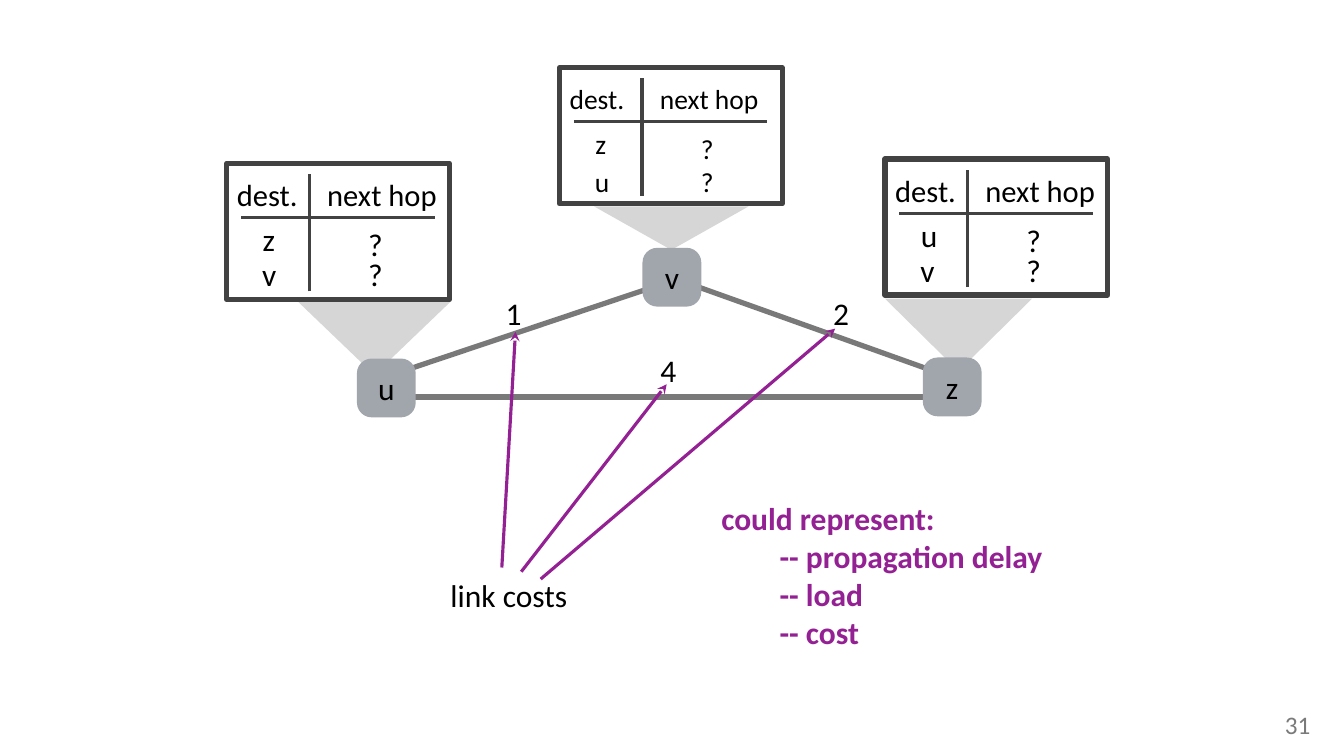
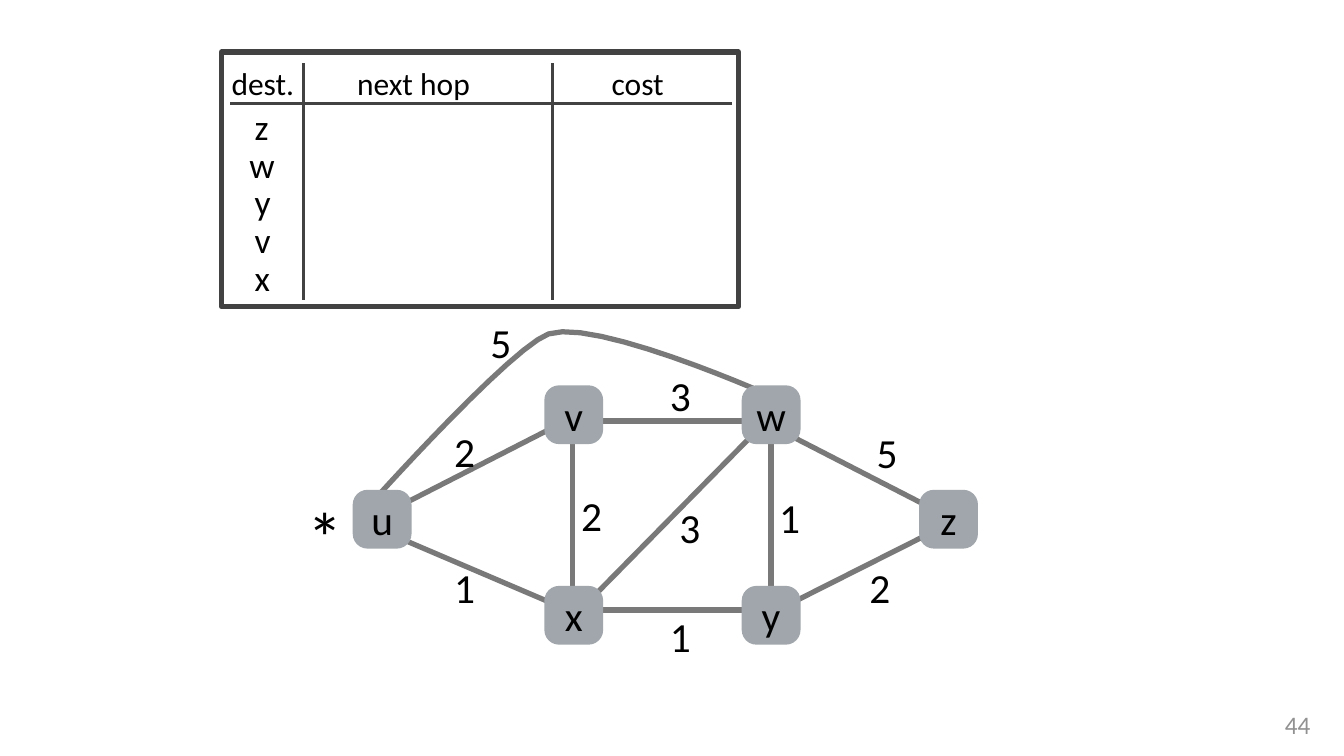
import pptx
import pptx.dml.color
import pptx.enum.shapes
import pptx.enum.text
import pptx.oxml.ns
import pptx.util
from lxml import etree

Pt = pptx.util.Pt
SHAPES = pptx.enum.shapes.MSO_SHAPE
ALIGN = pptx.enum.text.PP_ALIGN
ANCHOR = pptx.enum.text.MSO_ANCHOR

# Shared look, all lengths in points
COLORS = {"text": "000000", "frame": "424242", "edge": "797979", "node": "A1A6AC",
          "callout": "D6D6D6", "accent": "942193"}
FONT = "Calibri"
SLIDE_SIZE = (1280.16, 720)
NODE_SIZE = 56
INSET = 3.6
INDENT = 55.5
EDGE_WIDTH, RULE_WIDTH = 5, 3
PAGE_NUMBER_BOX = (1219.5, 676, 33, 36)

# Slide 1: three routers with empty forwarding tables
SMALL_TABLE = {
    "size": (212, 129.6),
    "headers": [("dest.", 6, 7.5, 150), ("next hop", 92, 7.5, 118)],
    "header_rule": (13.7, 198, 51.5),
    "column_rules": ([78.5], 10, 122),
}
ROUTER_TABLES = [  # left, top, header size, cell size, destinations, second row top
    (216, 155.5, 29.1, 30, "zv", 81),
    (843, 151.5, 29.1, 30, "uv", 81),
    (533, 64.6, 26.2, 26.2, "zu", 83.5),
]
CALLOUTS = [  # left, right, top, tip
    (843, 983, 284.5, 353.5),
    (566, 713, 196.6, 238),
    (283, 430, 286.5, 357),
]
TRIANGLE_NODES = {"v": (612, 236), "u": (340, 341.5), "z": (879, 340.5)}
TRIANGLE_EDGES = [  # start, end, cost, label position
    ((628, 271.5), (385, 353), "1", (478, 276)),
    ((392.5, 378), (903.5, 378), "4", (625.5, 330)),
    ((660, 271.5), (903.5, 358.5), "2", (790, 276)),
]
COST_ARROWS = [  # tip, start
    ((491, 316), (478, 540.5)),
    ((635, 366), (491 + 5.5, 544.5)),
    ((795.5, 313), (515, 551.5)),
]
LINK_COSTS_BOX = (425.5, 545, 147, 44)
MEANING_BOX = (683.5, 471.5, 335, 152.5)
MEANINGS = ["could represent:", "-- propagation delay", "-- load", "-- cost"]

# Slide 2: six-router network with the table of router u
LARGE_TABLE = {
    "size": (492.5, 242.5),
    "headers": [("dest.", 6, 7.5, 150), ("next hop", 125.5, 7.5, 118),
                ("cost", 368, 7.5, 69)],
    "header_rule": (8.5, 486, 48.75),
    "column_rules": ([78, 315.5], 10, 236),
}
LARGE_TABLE_ORIGIN = (211, 49.6)
DESTINATIONS = [("z", 28), ("w", 23), ("y", 28), ("v", 28), ("x", 28)]
DESTINATION_TOP, DESTINATION_PITCH = 46, 36
COLUMNS = {"u": 336, "vx": 518.5, "wy": 706.5, "z": 875.5}
ROWS = {"vw": 367, "uz": 466.5, "xy": 558}
NETWORK_EDGES = [
    ((532, 404.5), (378.5, 483), "2", (429, 402)),
    ((545.5, 414.5), (545.5, 575), "2", (550, 463)),
    ((755, 416), (897, 489), "5", (831.5, 402.5)),
    ((756.5, 573), (893.5, 504), "2", (824.5, 531.5)),
    ((386.5, 515), (527, 575), "1", (429, 531.5)),
    ((710.5, 401), (566.5, 401), "3", (634.5, 348)),
    ((713, 581), (569, 581), "1", (634.5, 578)),
    ((734.5, 422), (734.5, 582.5), "1", (738.5, 465)),
    ((720.5, 410.5), (558.5, 575), "3", (643.5, 474.5)),
]
ARC = [  # cubic curves from u over v to w
    [(362, 470), (362, 470), (488, 330.5), (522.5, 318)],
    [(522.5, 318), (566, 303), (726, 373.5), (726, 373.5)],
]
ARC_COST = ("5", (463.5, 298))
ARC_STEPS = 12
STAR_BOX = (289.5, 465, 37, 89)


def rgb(value):
    return pptx.dml.color.RGBColor.from_string(value)


def set_values(target, values):
    for name, value in values.items():
        setattr(target, name, value)


def write(shape, lines, size, color=COLORS["text"], bold=False, align=ALIGN.LEFT,
          anchor=ANCHOR.MIDDLE, inset=INSET, wrap=True):
    frame = shape.text_frame
    set_values(frame, {"word_wrap": wrap, "vertical_anchor": anchor,
                       **{f"margin_{side}": Pt(inset)
                          for side in ("left", "top", "right", "bottom")}})
    for index, line in enumerate(lines):
        paragraph = frame.paragraphs[0] if index == 0 else frame.add_paragraph()
        paragraph.alignment = align
        if index:
            paragraph._p.get_or_add_pPr().set("marL", str(Pt(INDENT)))
        run = paragraph.add_run()
        run.text = line
        set_values(run.font, {"name": FONT, "size": Pt(size), "bold": bold})
        run.font.color.rgb = rgb(color)


def add_text(slide, lines, box, size, **options):
    write(slide.shapes.add_textbox(*map(Pt, box)), lines, size, **options)


def paint(shape, fill=None, line=None, width=EDGE_WIDTH):
    shape.shadow.inherit = False
    if fill:
        shape.fill.solid()
        shape.fill.fore_color.rgb = rgb(COLORS[fill])
    else:
        shape.fill.background()
    if line:
        shape.line.color.rgb = rgb(COLORS[line])
        shape.line.width = Pt(width)
    else:
        shape.line.fill.background()


def add_line(slide, start, end, color, width, arrow=False):
    line = slide.shapes.add_connector(pptx.enum.shapes.MSO_CONNECTOR.STRAIGHT,
                                      *map(Pt, (*start, *end)))
    line.line.color.rgb = rgb(COLORS[color])
    line.line.width = Pt(width)
    qualified = pptx.oxml.ns.qn
    if arrow:
        etree.SubElement(line.line._get_or_add_ln(), qualified("a:headEnd"), type="stealth")
    etree.SubElement(line._element.spPr, qualified("a:effectLst"))


def add_outline(slide, points, close, **colors):
    vertices = [(Pt(x), Pt(y)) for x, y in points]
    builder = slide.shapes.build_freeform(*vertices[0])
    builder.add_line_segments(vertices[1:], close=close)
    paint(builder.convert_to_shape(), **colors)


def add_edges(slide, edges, size, label_size):
    for start, end, cost, position in edges:
        add_line(slide, start, end, "edge", EDGE_WIDTH)
        add_text(slide, [cost], (*position, *label_size), size)


def add_nodes(slide, nodes, size):
    for name, position in nodes.items():
        node = slide.shapes.add_shape(SHAPES.ROUNDED_RECTANGLE,
                                      *map(Pt, (*position, NODE_SIZE, NODE_SIZE)))
        node.adjustments[0] = 0.25
        paint(node, fill="node")
        write(node, [name], size, align=ALIGN.CENTER, inset=0)


def add_routing_table(slide, layout, origin, header_size, cell_size, cells):
    """Cells are (text, left, top, width), relative to the origin."""
    left, top = origin
    frame = slide.shapes.add_shape(SHAPES.RECTANGLE, *map(Pt, (*origin, *layout["size"])))
    paint(frame, line="frame")
    rule_start, rule_end, rule_top = layout["header_rule"]
    add_line(slide, (left + rule_start, top + rule_top), (left + rule_end, top + rule_top),
             "frame", RULE_WIDTH)
    columns, column_top, column_bottom = layout["column_rules"]
    for x in columns:
        add_line(slide, (left + x, top + column_bottom), (left + x, top + column_top),
                 "frame", RULE_WIDTH)
    for entries, size, height in ((layout["headers"], header_size, 44), (cells, cell_size, 49)):
        for text, x, y, width in entries:
            add_text(slide, [text], (left + x, top + y, width, height), size)


def add_page(presentation, number, color):
    slide = presentation.slides.add_slide(presentation.slide_layouts[6])
    add_text(slide, [number], PAGE_NUMBER_BOX, 24, color=color, align=ALIGN.CENTER,
             anchor=ANCHOR.TOP, inset=0, wrap=False)
    return slide


def curve_points(start, control1, control2, end):
    for step in range(ARC_STEPS + 1):
        t = step / ARC_STEPS
        weights = ((1 - t) ** 3, 3 * t * (1 - t) ** 2, 3 * t ** 2 * (1 - t), t ** 3)
        yield tuple(sum(w * value for w, value in zip(weights, axis))
                    for axis in zip(start, control1, control2, end))


def build_link_costs(presentation):
    slide = add_page(presentation, "31", "7A7A7A")
    for left, right, top, tip in CALLOUTS:
        add_outline(slide, [(left, top), (right, top), ((left + right) / 2, tip)], True,
                    fill="callout")
    add_edges(slide, TRIANGLE_EDGES, 30, (28, 44))
    add_nodes(slide, TRIANGLE_NODES, 30)
    for left, top, header_size, cell_size, names, second_top in ROUTER_TABLES:
        cells = [(names[0], 30.5, 47.5, 47), ("?", 131, 52, 25),
                 (names[1], 30, second_top, 47), ("?", 131, second_top, 25)]
        add_routing_table(slide, SMALL_TABLE, (left, top), header_size, cell_size, cells)
    for tip, start in COST_ARROWS:
        add_line(slide, tip, start, "accent", RULE_WIDTH, arrow=True)
    add_text(slide, ["link costs"], LINK_COSTS_BOX, 30)
    add_text(slide, MEANINGS, MEANING_BOX, 30, color=COLORS["accent"], bold=True)


def build_network(presentation):
    slide = add_page(presentation, "44", "919191")
    size, label_size = 39.4, (28, 55.5)
    add_edges(slide, NETWORK_EDGES, size, label_size)
    first, second = (list(curve_points(*curve)) for curve in ARC)
    add_outline(slide, first + second[1:], False, line="edge")
    cost, position = ARC_COST
    add_text(slide, [cost], (*position, *label_size), size)
    nodes = {name: (x, y) for column, x in COLUMNS.items() for row, y in ROWS.items()
             for name in column if name in row}
    add_nodes(slide, nodes, size)
    cells = [(name, x, DESTINATION_TOP + row * DESTINATION_PITCH, 40)
             for row, (name, x) in enumerate(DESTINATIONS)]
    add_routing_table(slide, LARGE_TABLE, LARGE_TABLE_ORIGIN, 30, 33.8, cells)
    add_text(slide, ["*"], STAR_BOX, 67.5)


def main():
    presentation = pptx.Presentation()
    width, height = map(Pt, SLIDE_SIZE)
    set_values(presentation, {"slide_width": width, "slide_height": height})
    build_link_costs(presentation)
    build_network(presentation)
    presentation.save("out.pptx")


if __name__ == "__main__":
    main()
